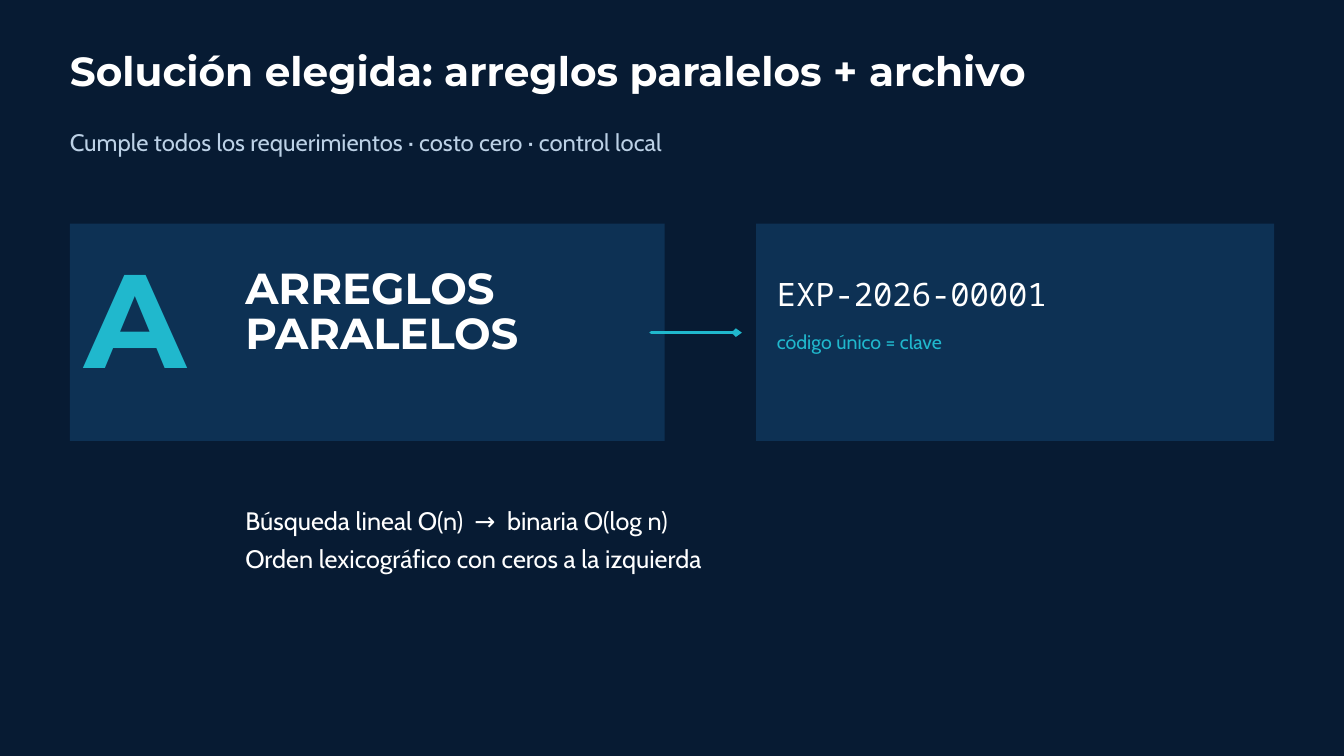
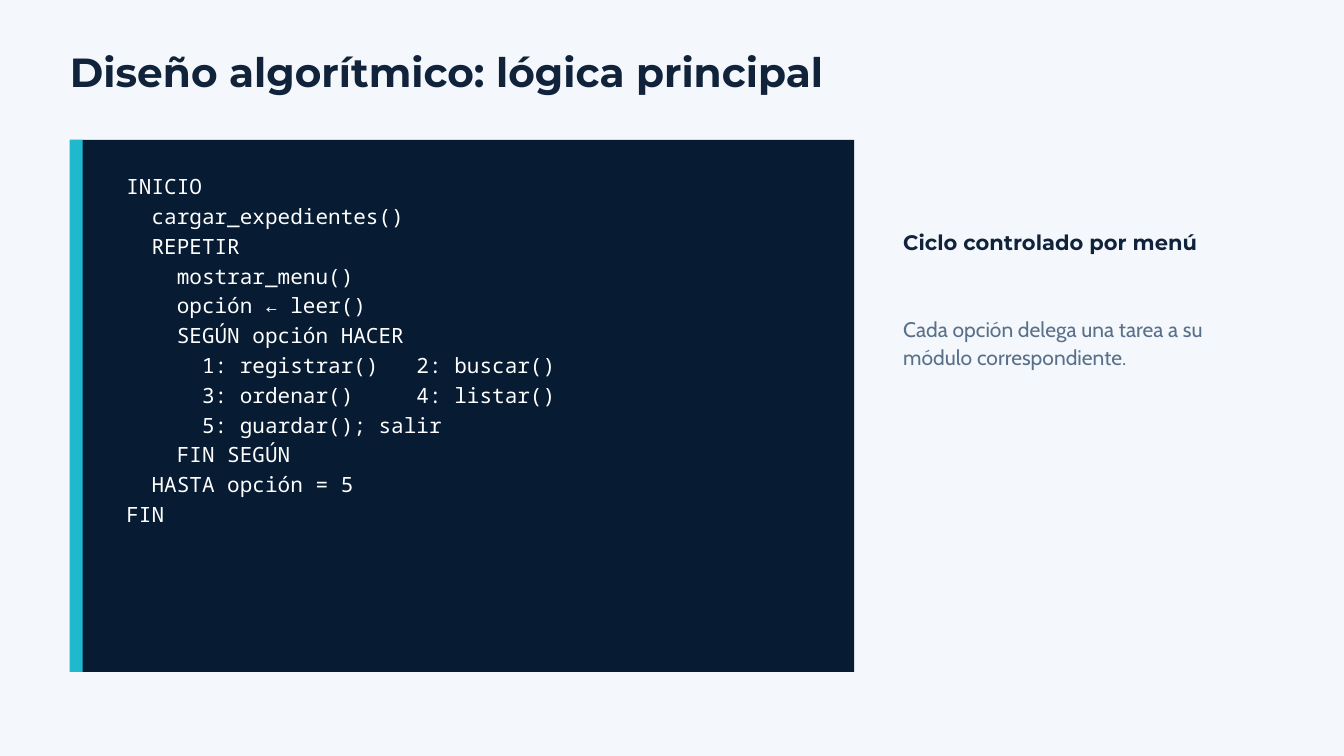
import pptx
import pptx.util
import pptx.dml.color
import pptx.enum.shapes
import pptx.enum.text
import lxml.etree
from collections import namedtuple
from pptx.util import Inches

# Theme: colours and text styles
COLORS = dict(navy="071B33", panel="0D3154", cyan="20B8CD", white="FFFFFF",
              mist="BCD1E6", paper="F4F7FB", ink="10233B", slate="58708A")
Style = namedtuple("Style", "font size leading color bold", defaults=(False,))
STYLES = dict(
    title_dark=Style("Montserrat", 43.5, 44.8, "white", True),
    title_light=Style("Montserrat", 43.5, 45.7, "ink", True),
    subtitle=Style("Cabin", 25.5, 34.4, "mist"),
    letter=Style("Montserrat", 142.5, 146.8, "cyan", True),
    option=Style("Montserrat", 46.5, 47.9, "white", True),
    key=Style("Noto Sans Mono", 34.5, 46.6, "white"),
    key_note=Style("Cabin", 21, 28.4, "cyan"),
    facts=Style("Cabin", 27, 40.5, "white"),
    code=Style("Noto Sans Mono", 22.5, 31.9, "white"),
    heading=Style("Montserrat", 22.5, 23.6, "ink", True),
    remark=Style("Cabin", 22.5, 30.4, "slate"),
)
MARGIN = 1.04
TITLE_BOX = (MARGIN, 0.79, 15.62, 0.63)

# Content: panels are (box, colour), texts are (style, box, lines)
CODE = """INICIO
  cargar_expedientes()
  REPETIR
    mostrar_menu()
    opción ← leer()
    SEGÚN opción HACER
      1: registrar()   2: buscar()
      3: ordenar()     4: listar()
      5: guardar(); salir
    FIN SEGÚN
  HASTA opción = 5
FIN""".split("\n")

SLIDES = [
    dict(
        background="navy",
        title=("title_dark", "Solución elegida: arreglos paralelos + archivo"),
        panels=[((MARGIN, 3.33, 8.85, 3.23), "panel"),
                ((11.25, 3.33, 7.71, 3.23), "panel")],
        body=("facts", (3.65, 7.41, 12.5, 1.11),
              ["Búsqueda lineal O(n)  →  binaria O(log n)",
               "Orden lexicográfico con ceros a la izquierda"]),
        texts=[
            ("subtitle", (MARGIN, 1.84, 15.62, 0.45),
             ["Cumple todos los requerimientos · costo cero · control local"]),
            ("letter", (1.25, 3.84, 2.29, 2.12), ["A"]),
            ("option", (3.65, 4, 5.83, 1.33), ["ARREGLOS", "PARALELOS"]),
            ("key", (11.56, 4.01, 6.77, 0.63), ["EXP-2026-00001"]),
            ("key_note", (11.56, 4.86, 6.77, 0.37), ["código único = clave"]),
        ],
        arrows=[(9.69, 4.95, 11.04, 4.95)],
    ),
    dict(
        background="paper",
        title=("title_light", "Diseño algorítmico: lógica principal"),
        panels=[((MARGIN, 2.08, 11.67, 7.92), "navy"),
                ((MARGIN, 2.08, 0.19, 7.92), "cyan")],
        body=("code", (1.88, 2.52, 9.9, 5.21), CODE),
        texts=[
            ("heading", (13.44, 3.47, 4.48, 0.34), ["Ciclo controlado por menú"]),
            ("remark", (13.44, 4.66, 4.48, 0.82),
             ["Cada opción delega una tarea a su módulo correspondiente."]),
        ],
        arrows=[],
    ),
]


def rgb(name):
    return pptx.dml.color.RGBColor.from_string(COLORS[name])


def add_xml(parent, tag, **attrs):
    return lxml.etree.SubElement(parent, pptx.oxml.ns.qn(tag), attrs)


def write(sp, style_name, box, lines):
    """Place a text shape and fill it with one paragraph per line."""
    style = STYLES[style_name]
    sp.left, sp.top, sp.width, sp.height = map(Inches, box)
    tf = sp.text_frame
    tf.margin_left = tf.margin_top = tf.margin_right = tf.margin_bottom = 0
    tf.word_wrap = True
    tf.auto_size = pptx.enum.text.MSO_AUTO_SIZE.NONE
    tf.vertical_anchor = pptx.enum.text.MSO_ANCHOR.TOP
    for i, line in enumerate(lines):
        p = tf.add_paragraph() if i else tf.paragraphs[0]
        p.add_run().text = line
        if sp.is_placeholder:
            pPr = p._p.get_or_add_pPr()
            pPr.set("marL", "0")
            pPr.set("indent", "0")
            add_xml(pPr, "a:buNone")
        p.alignment = pptx.enum.text.PP_ALIGN.LEFT
        p.line_spacing = pptx.util.Pt(style.leading)
        p.space_before = p.space_after = pptx.util.Pt(0)
        p.font.name, p.font.bold = style.font, style.bold
        p.font.size = pptx.util.Pt(style.size)
        p.font.color.rgb = rgb(style.color)


def add_panel(s, box, color):
    sp = s.shapes.add_shape(pptx.enum.shapes.MSO_SHAPE.RECTANGLE, *map(Inches, box))
    sp.shadow.inherit = False
    sp.fill.solid()
    sp.fill.fore_color.rgb = rgb(color)
    sp.line.fill.background()


def add_arrow(s, ends):
    arrow = s.shapes.add_connector(pptx.enum.shapes.MSO_CONNECTOR.STRAIGHT,
                                   *map(Inches, ends))
    arrow.line.color.rgb = rgb("cyan")
    arrow.line.width = pptx.util.Pt(3.75)
    ln = arrow.line._get_or_add_ln()
    ln.set("cap", "rnd")
    add_xml(ln, "a:round")
    add_xml(ln, "a:tailEnd", type="arrow", w="sm", len="sm")
    add_xml(arrow._element.spPr, "a:effectLst")


def build_slide(prs, page):
    s = prs.slides.add_slide(prs.slide_layouts.get_by_name("Title and Content"))
    s.background.fill.solid()
    s.background.fill.fore_color.rgb = rgb(page["background"])
    title, body = s.placeholders
    # Panels go behind the placeholders
    for box, color in page["panels"]:
        add_panel(s, box, color)
    for placeholder in (title, body):
        s.shapes._spTree.append(placeholder._element)
    # Text
    style, text = page["title"]
    write(title, style, TITLE_BOX, [text])
    write(body, *page["body"])
    for style, box, lines in page["texts"]:
        write(s.shapes.add_textbox(0, 0, 0, 0), style, box, lines)
    # Arrows
    for ends in page["arrows"]:
        add_arrow(s, ends)


def main():
    prs = pptx.Presentation()
    prs.slide_width, prs.slide_height = Inches(20), Inches(11.25)
    for page in SLIDES:
        build_slide(prs, page)
    prs.save("out.pptx")


if __name__ == "__main__":
    main()
